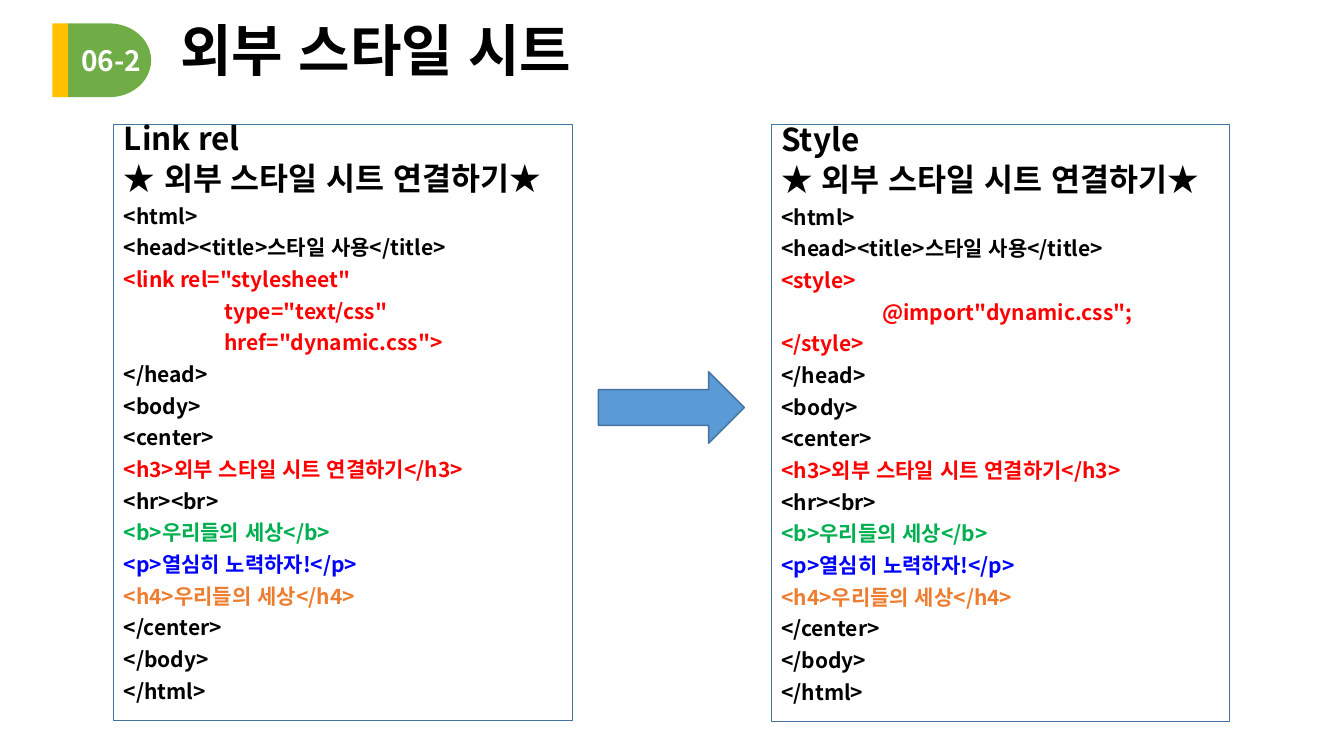
import pptx
import pptx.dml.color
import pptx.enum.shapes
import pptx.enum.text
import pptx.oxml.ns
import pptx.util
from lxml import etree
from pptx.util import Cm

SHAPE = pptx.enum.shapes.MSO_SHAPE
ALIGN = pptx.enum.text.PP_ALIGN
ANCHOR = pptx.enum.text.MSO_ANCHOR
CODE_FONT, HANGUL_FONT = "Noto Sans CJK KR", "Arial"

BLACK, RED, GREEN, BLUE, ORANGE = "000000", "FF0000", "00B050", "0000FF", "ED7D31"
OUTLINE = "43739E"

# Code listing: the lines shared by both panels
OPENING = [("<html>", BLACK), ("<head><title>스타일 사용</title>", BLACK)]
CLOSING = [
    ("</head>", BLACK),
    ("<body>", BLACK),
    ("<center>", BLACK),
    ("<h3>외부 스타일 시트 연결하기</h3>", RED),
    ("<hr><br>", BLACK),
    ("<b>우리들의 세상</b>", GREEN),
    ("<p>열심히 노력하자!</p>", BLUE),
    ("<h4>우리들의 세상</h4>", ORANGE),
    ("</center>", BLACK),
    ("</body>", BLACK),
    ("</html>", BLACK),
]
LINK_LINES = ['<link rel="stylesheet"', '\ttype="text/css"', '\thref="dynamic.css">']
STYLE_LINES = ["<style>", '\t@import"dynamic.css";', "</style>"]


def rgb(value):
    return pptx.dml.color.RGBColor.from_string(value)


def add_run(paragraph, text, size, color, font=CODE_FONT):
    run = paragraph.add_run()
    run.text = text
    run.font.size = pptx.util.Pt(size)
    run.font.bold = True
    run.font.name = font
    run.font.color.rgb = rgb(color)
    # Typeface for the Hangul characters
    east_asian = etree.SubElement(run.font._element, pptx.oxml.ns.qn("a:ea"))
    east_asian.set("typeface", HANGUL_FONT)


def set_tab_stop(paragraph, position):
    properties = paragraph._p.get_or_add_pPr()
    tabs = etree.SubElement(properties, pptx.oxml.ns.qn("a:tabLst"))
    etree.SubElement(tabs, pptx.oxml.ns.qn("a:tab"), pos=str(int(position)), algn="l")


def add_block(slide, kind, left, top, width, height, fill=None, line=None, weight=0.75):
    block = slide.shapes.add_shape(kind, Cm(left), Cm(top), Cm(width), Cm(height))
    block.shadow.inherit = False
    if fill:
        block.fill.solid()
        block.fill.fore_color.rgb = rgb(fill)
    else:
        block.fill.background()
    if line:
        block.line.color.rgb = rgb(line)
        block.line.width = pptx.util.Pt(weight)
    else:
        block.line.fill.background()
    return block


def add_code_panel(slide, left, top, heading, method_lines):
    panel = add_block(slide, SHAPE.RECTANGLE, left, top, 11.55, 15.03, line=OUTLINE)
    frame = panel.text_frame
    frame.word_wrap = True
    frame.vertical_anchor = ANCHOR.TOP
    lines = [(heading, 22.5, BLACK), ("★ 외부 스타일 시트 연결하기★", 22.5, BLACK)]
    code = OPENING + [(text, RED) for text in method_lines] + CLOSING
    lines += [(text, 15, color) for text, color in code]
    for index, (text, size, color) in enumerate(lines):
        paragraph = frame.add_paragraph() if index else frame.paragraphs[0]
        paragraph.alignment = ALIGN.LEFT
        paragraph.line_spacing = 0.7
        paragraph.space_before = pptx.util.Pt(10)
        if text.startswith("\t"):
            set_tab_stop(paragraph, Cm(2.54))
        add_run(paragraph, text, size, color)


def set_title(slide, text):
    title = slide.shapes.title
    title.left, title.top, title.width, title.height = Cm(4.29), Cm(0.43), Cm(25.25), Cm(1.85)
    frame = title.text_frame
    frame.auto_size = pptx.enum.text.MSO_AUTO_SIZE.NONE
    frame.vertical_anchor = ANCHOR.MIDDLE
    paragraph = frame.paragraphs[0]
    paragraph.alignment = ALIGN.LEFT
    paragraph.line_spacing = 0.9
    add_run(paragraph, text, 40, BLACK, "Arial")


def add_section_number(slide, text):
    add_block(slide, SHAPE.FLOWCHART_DELAY, 1.7, 0.59, 2.11, 1.86, fill="70AD47")
    add_block(slide, SHAPE.RECTANGLE, 1.32, 0.59, 0.4, 1.86, fill="FFC000")
    number = slide.shapes.add_textbox(Cm(1.8), Cm(0.96), Cm(2.13), Cm(1.11))
    number.text_frame.word_wrap = False
    add_run(number.text_frame.paragraphs[0], text, 20, "FFFFFF")


def main():
    presentation = pptx.Presentation()
    presentation.slide_width, presentation.slide_height = Cm(33.87), Cm(19.05)
    slide = presentation.slides.add_slide(presentation.slide_layouts[5])

    # Header
    set_title(slide, "외부 스타일 시트")
    add_section_number(slide, "06-2")

    # Two ways to attach a style sheet, joined by an arrow
    add_code_panel(slide, 2.87, 3.13, "Link rel", LINK_LINES)
    add_block(slide, SHAPE.RIGHT_ARROW, 15.08, 9.37, 3.68, 1.8, "5B9BD5", OUTLINE, 1)
    add_code_panel(slide, 19.44, 3.15, "Style", STYLE_LINES)

    presentation.save("out.pptx")


if __name__ == "__main__":
    main()
